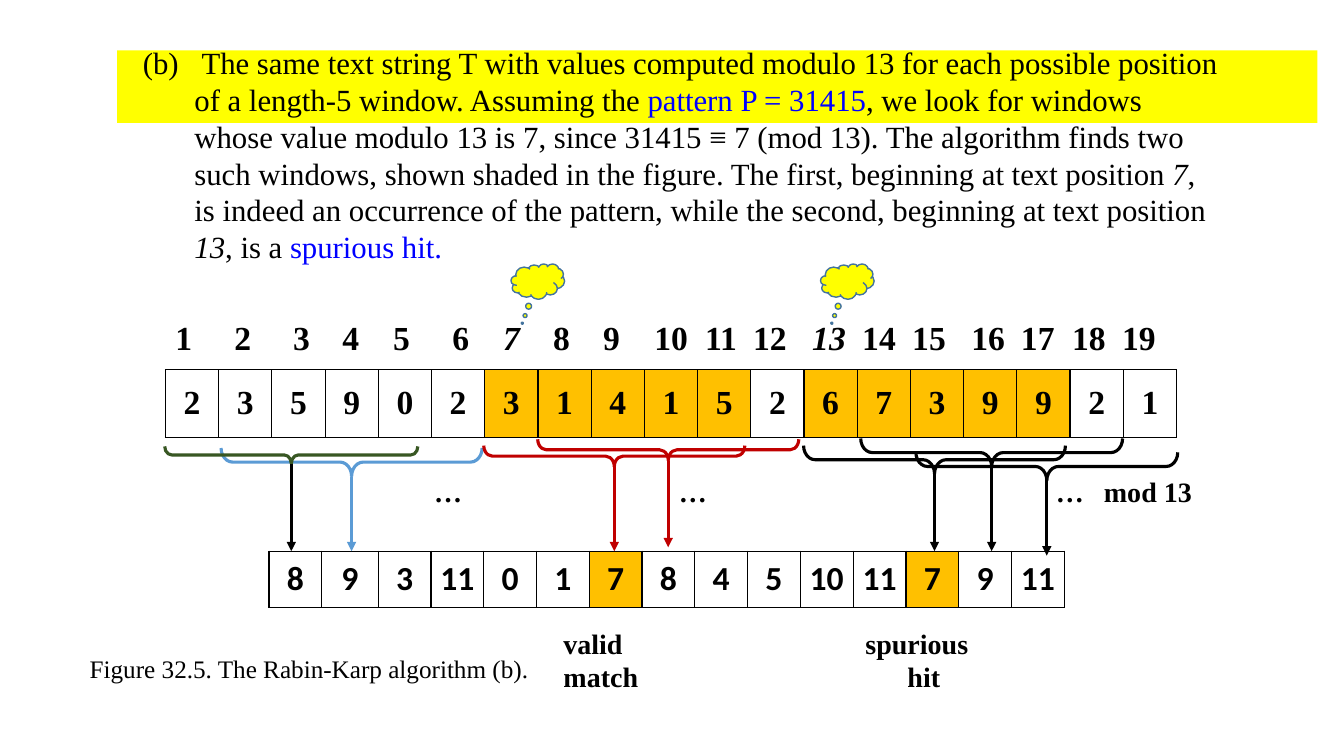
from dataclasses import dataclass
from typing import Any

from lxml import etree
from pptx import Presentation
from pptx import util as u
from pptx.dml.color import RGBColor
from pptx.enum import shapes, text
from pptx.oxml import ns

SERIF, SANS = "Times New Roman", "Calibri"
BLACK, WHITE, YELLOW, AMBER = "000000", "FFFFFF", "FFFF00", "FFC000"
BLUE, RED, GREEN, LINK_BLUE = "5B9BD5", "C00000", "385723", "0000FF"
CLOUD_EDGE = "43739E"


@dataclass
class Strip:
    """A one-row table of digits or remainders."""
    left: float
    top: float
    height: float
    widths: list[float]
    values: list[int]
    shaded: set[int]
    font: str


@dataclass
class Window:
    """A brace under five digits and the arrow to its remainder."""
    center: float
    top: float
    width: float
    depth: float
    color: str
    arrow_color: str
    arrow_top: float
    arrow_bottom: float = 13.89


@dataclass
class Label:
    """A text box; each paragraph is a list of (text, font values)."""
    left: float
    top: float
    width: float
    height: float
    paragraphs: list[list[tuple[str, dict[str, Any]]]]
    font: dict[str, Any]
    tabs: tuple[float, ...] = ()
    hanging: float = 0
    anchor: Any = text.MSO_ANCHOR.TOP


def rgb(color: str) -> RGBColor:
    return RGBColor.from_string(color)


def format_font(font: Any, values: dict[str, Any]) -> None:
    for name, value in values.items():
        if name == "color":
            font.color.rgb = rgb(value)
        else:
            setattr(font, name, value)


def format_line(line: Any, color: str, width: float) -> None:
    line.color.rgb = rgb(color)
    line.width = u.Pt(width)


def add_border(cell: Any) -> None:
    properties = cell._tc.get_or_add_tcPr()
    for index, side in enumerate(("lnL", "lnR", "lnT", "lnB")):
        border = etree.Element(ns.qn(f"a:{side}"), w="12700")
        fill = etree.SubElement(border, ns.qn("a:solidFill"))
        etree.SubElement(fill, ns.qn("a:srgbClr"), val=BLACK)
        properties.insert(index, border)


def add_strip(slide: Any, strip: Strip) -> None:
    frame = slide.shapes.add_table(
        1, len(strip.values), u.Cm(strip.left), u.Cm(strip.top),
        u.Cm(sum(strip.widths)), u.Cm(strip.height))
    table = frame.table
    table.first_row = table.horz_banding = False
    table.rows[0].height = u.Cm(strip.height)
    for index, (width, value) in enumerate(zip(strip.widths, strip.values)):
        table.columns[index].width = u.Cm(width)
        cell = table.cell(0, index)
        cell.fill.solid()
        cell.fill.fore_color.rgb = rgb(AMBER if index in strip.shaded else WHITE)
        cell.margin_left = cell.margin_right = u.Cm(0.18)
        cell.margin_top = cell.margin_bottom = 0
        cell.vertical_anchor = text.MSO_ANCHOR.MIDDLE
        add_border(cell)
        paragraph = cell.text_frame.paragraphs[0]
        paragraph.alignment = text.PP_ALIGN.CENTER
        run = paragraph.add_run()
        run.text = str(value)
        format_font(run.font, {"name": strip.font, "size": u.Pt(24),
                               "bold": True, "color": BLACK})


def add_shape(slide: Any, kind: Any, left: float, top: float, width: float,
              height: float, fill: str | None = None) -> Any:
    shape = slide.shapes.add_shape(
        kind, u.Cm(left), u.Cm(top), u.Cm(width), u.Cm(height))
    shape.shadow.inherit = False
    if fill:
        shape.fill.solid()
        shape.fill.fore_color.rgb = rgb(fill)
    else:
        shape.fill.background()
    return shape


def add_window(slide: Any, window: Window) -> None:
    # The brace is drawn upright, then turned so that its tip points down
    middle = window.top + window.depth / 2
    brace = add_shape(slide, shapes.MSO_SHAPE.RIGHT_BRACE,
                      window.center - window.depth / 2,
                      middle - window.width / 2, window.depth, window.width)
    brace.rotation = 90
    brace.adjustments[0], brace.adjustments[1] = 0.41, 0.5
    format_line(brace.line, window.color, 2.25)
    arrow = slide.shapes.add_connector(
        shapes.MSO_CONNECTOR.STRAIGHT, u.Cm(window.center), u.Cm(window.arrow_top),
        u.Cm(window.center), u.Cm(window.arrow_bottom))
    format_line(arrow.line, window.arrow_color, 2.25)
    etree.SubElement(arrow.line._get_or_add_ln(), ns.qn("a:tailEnd"), type="triangle")
    etree.SubElement(arrow._element.spPr, ns.qn("a:effectLst"))


def add_label(slide: Any, label: Label) -> None:
    box = slide.shapes.add_textbox(u.Cm(label.left), u.Cm(label.top),
                                   u.Cm(label.width), u.Cm(label.height))
    frame = box.text_frame
    frame.word_wrap = True
    frame.auto_size = text.MSO_AUTO_SIZE.SHAPE_TO_FIT_TEXT
    frame.vertical_anchor = label.anchor
    for index, runs in enumerate(label.paragraphs):
        paragraph = frame.add_paragraph() if index else frame.paragraphs[0]
        properties = paragraph._p.get_or_add_pPr()
        if label.hanging:
            properties.set("marL", str(u.Cm(label.hanging)))
            properties.set("indent", str(-u.Cm(label.hanging)))
        if label.tabs:
            tab_list = etree.SubElement(properties, ns.qn("a:tabLst"))
            for position in label.tabs:
                etree.SubElement(tab_list, ns.qn("a:tab"),
                                 pos=str(u.Cm(position)), algn="l")
        for words, values in runs:
            run = paragraph.add_run()
            run.text = words
            format_font(run.font, {"name": SERIF, "color": BLACK, **label.font, **values})


ITALIC, COLORED = {"italic": True}, {"color": LINK_BLUE}
BOLD_20 = {"size": u.Pt(20), "bold": True}
MIDDLE = text.MSO_ANCHOR.MIDDLE

STRIPS = [
    Strip(4.17, 9.32, 1.7, [25.48 / 19] * 19,
          [2, 3, 5, 9, 0, 2, 3, 1, 4, 1, 5, 2, 6, 7, 3, 9, 9, 2, 1],
          {*range(6, 11), *range(12, 17)}, SERIF),
    Strip(6.78, 13.89, 1.42, [1.33, 1.42] + [1.33] * 13,
          [8, 9, 3, 11, 0, 1, 7, 8, 4, 5, 10, 11, 7, 9, 11], {6, 12}, SANS),
]
WINDOWS = [
    Window(8.86, 11.29, 6.58, 0.71, BLUE, BLUE, 12.01),
    Window(15.48, 11.23, 6.58, 0.53, RED, RED, 11.71),
    Window(23.55, 11.23, 6.6, 0.71, BLACK, BLACK, 11.94),
    Window(7.34, 11.25, 6.38, 0.43, GREEN, BLACK, 11.68),
    Window(24.99, 11.05, 6.6, 0.71, BLACK, BLACK, 11.63),
    Window(26.38, 11.4, 6.6, 0.71, BLACK, BLACK, 12.04, 14),
    Window(16.84, 11.07, 6.58, 0.53, RED, RED, 11.61, 13.79),
]
POSITIONS = [(("\t" if number > 1 else "") + str(number),
              {"italic": number in (7, 13)}) for number in range(1, 20)]
LABELS = [
    Label(4.17, 7.85, 25.48, 1.27, [POSITIONS], {"size": u.Pt(24), "bold": True},
          (1.49, 2.97, 4.21, 5.49, 6.98, 8.26, 9.52, 10.78, 12.07, 13.35, 14.56,
           16.05, 17.31, 18.57, 20.06, 21.31, 22.6, 23.86), anchor=MIDDLE),
    Label(4.17, 11.81, 26.95, 1.12, [[("\t…\t…\t…\tmod 13", {})]], BOLD_20,
          (6.52, 12.69, 22.19, 23.4), anchor=MIDDLE),
    Label(8.86, 15.65, 17.96, 1.96, [[("\tvalid\tspurious", {})]], BOLD_20, (5.09, 12.7)),
    Label(8.86, 16.5, 17.96, 1.12, [[("\tmatch\thit", {})]], BOLD_20, (5.09, 13.76)),
    # The stop at zero serves viewers that measure tabs from the indent
    Label(3.35, 0.97, 27.58, 5.87, [[
        ("(b)\t The same text string T with values computed modulo 13 for each possible "
         "position of a length-5 window. Assuming the ", {}),
        ("pattern P = 31415", COLORED),
        (", we look for windows whose value modulo 13 is 7, since 31415 ≡ 7 (mod 13). "
         "The algorithm finds two such windows, shown shaded in the figure. The first, "
         "beginning at text position ", {}),
        ("7", ITALIC),
        (", is indeed an occurrence of the pattern, while the second, beginning at "
         "text position ", {}),
        ("13", ITALIC), (", is a ", {}), ("spurious hit.", COLORED),
    ]], {"size": u.Pt(22)}, (0, 1.3), 1.3),
    Label(2.01, 16.33, 12.01, 1.02,
          [[("Figure 32.5. The Rabin-Karp algorithm (b).", {})]], {"size": u.Pt(18)}),
]


def main() -> None:
    presentation = Presentation()
    presentation.slide_width, presentation.slide_height = u.Cm(33.87), u.Cm(19.05)
    slide = presentation.slides.add_slide(presentation.slide_layouts[6])

    # Highlight behind the first two lines
    band = add_shape(slide, shapes.MSO_SHAPE.RECTANGLE, 2.95, 1.27, 30.25, 1.83, YELLOW)
    band.line.fill.background()

    # Digits, remainders and the windows that link them
    for strip in STRIPS:
        add_strip(slide, strip)
    for window in WINDOWS:
        add_window(slide, window)

    # Explanation, positions and captions
    for label in LABELS:
        add_label(slide, label)

    # Clouds over positions 7 and 13
    for left in (12.88, 20.68):
        cloud = add_shape(slide, shapes.MSO_SHAPE.CLOUD_CALLOUT, left, 6.65, 1.35, 0.89, YELLOW)
        cloud.adjustments[0], cloud.adjustments[1] = -0.29, 1.18
        format_line(cloud.line, CLOUD_EDGE, 1)

    presentation.save("out.pptx")


if __name__ == "__main__":
    main()
